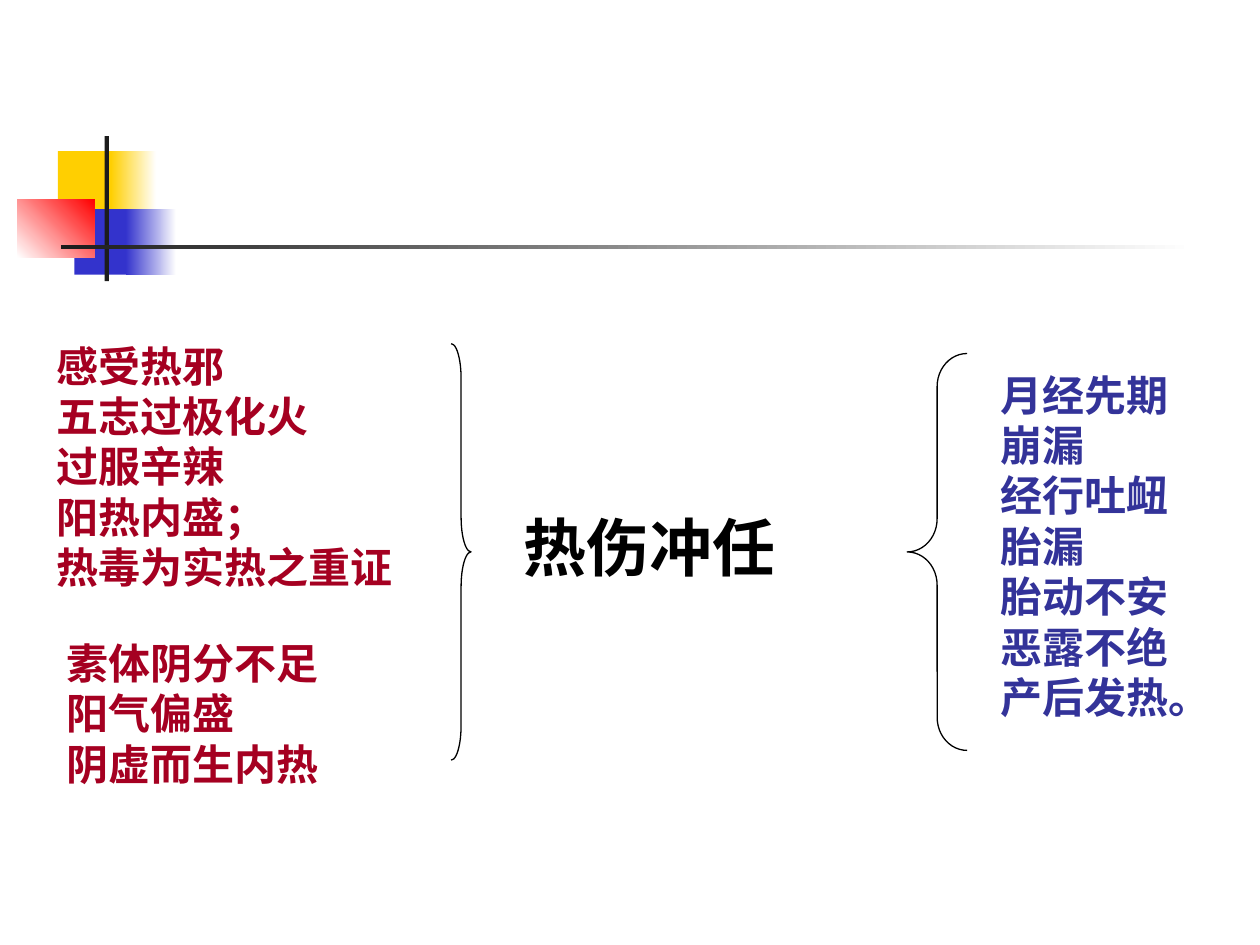
from pptx import Presentation
from pptx.dml.color import RGBColor
from pptx.enum import shapes, text
from pptx.oxml.ns import qn
from pptx.util import Pt

FONT = "Noto Sans CJK SC"
GOLD = RGBColor(0xFF, 0xCF, 0x01)
BLUE = RGBColor(0x33, 0x33, 0xCC)
RED = RGBColor(0xFF, 0x00, 0x00)
DARK = RGBColor(0x1C, 0x1C, 0x1C)
WHITE = RGBColor(0xFF, 0xFF, 0xFF)
BLACK = RGBColor(0x00, 0x00, 0x00)
WINE = RGBColor(0xA5, 0x00, 0x21)
NAVY = RGBColor(0x33, 0x33, 0x99)

# Content: left, top, width, size, colour, lines
TEXTS = [
    (25.2, 190.8, 244, 24, WINE,
     ["感受热邪", "五志过极化火", "过服辛辣", "阳热内盛；", "热毒为实热之重证"]),
    (31, 360.7, 181.4, 24, WINE, ["素体阴分不足", "阳气偏盛", "阴虚而生内热"]),
    (564.5, 207.4, 155.5, 24, NAVY,
     ["月经先期", "崩漏", "经行吐衄", "胎漏", "胎动不安", "恶露不绝", "产后发热。"]),
    (292.3, 287.3, 159.1, 36, BLACK, ["热伤冲任"]),
]

# Corner ornament: left, top, width, height, start colour, end colour, angle
BLOCKS = [
    (33.1, 86.4, 34.6, 37.4, GOLD, None, 0),
    (63.4, 86.4, 25.9, 37.4, GOLD, WHITE, 0),
    (42.5, 119.5, 33.1, 37.4, BLUE, None, 0),
    (72, 119.5, 28.8, 37.4, BLUE, WHITE, 0),
    (10, 113.8, 44, 33.4, WHITE, RED, 45),
    (59.8, 77.8, 2.4, 82.8, DARK, None, 0),
    (34.6, 140.1, 648, 2.5, DARK, WHITE, 0),
]

# Braces: kind, left, top, width, height
BRACES = [
    (shapes.MSO_SHAPE.LEFT_BRACE, 518.4, 202, 34.2, 226.8),
    (shapes.MSO_SHAPE.RIGHT_BRACE, 257.8, 196.4, 11.4, 238),
]


def add_shape(slide, kind, *box):
    shape = slide.shapes.add_shape(kind, *map(Pt, box))
    shape.shadow.inherit = False
    return shape


def add_block(slide, box, start, end, angle):
    block = add_shape(slide, shapes.MSO_SHAPE.RECTANGLE, *box)
    block.line.fill.background()
    if end is None:
        block.fill.solid()
        block.fill.fore_color.rgb = start
        return
    block.fill.gradient()
    block.fill.gradient_angle = angle
    for stop, color, pos in zip(block.fill.gradient_stops, (start, end), (0, 1)):
        stop.color.rgb = color
        stop.position = pos


def add_brace(slide, kind, left, top, width, height):
    brace = add_shape(slide, kind, left, top, width, height)
    brace.adjustments[0] = height / 12 / width  # each curve is 1/12 of the height
    brace.fill.background()
    brace.line.color.rgb = BLACK
    brace.line.width = Pt(0.75)


def add_text(slide, left, top, width, size, color, lines):
    pitch = 1.2 * size
    height = len(lines) * pitch + 7.2
    box = slide.shapes.add_textbox(*map(Pt, (left, top, width, height)))
    frame = box.text_frame
    frame.word_wrap = True
    frame.auto_size = text.MSO_AUTO_SIZE.SHAPE_TO_FIT_TEXT
    frame.text = "\n".join(lines)
    for para in frame.paragraphs:
        para.line_spacing = Pt(pitch)
        font = para.font
        font.size, font.bold, font.name = Pt(size), True, FONT
        font.color.rgb = color
        # East Asian face for the Chinese text
        for run in para.runs:
            props = run.font._element
            props.append(props.makeelement(qn("a:ea"), {"typeface": FONT}))


def main():
    deck = Presentation()
    deck.slide_width, deck.slide_height = Pt(720), Pt(540)
    slide = deck.slides.add_slide(deck.slide_layouts[6])
    for *box, start, end, angle in BLOCKS:
        add_block(slide, box, start, end, angle)
    for item in TEXTS:
        add_text(slide, *item)
    for item in BRACES:
        add_brace(slide, *item)
    deck.save("out.pptx")


if __name__ == "__main__":
    main()
